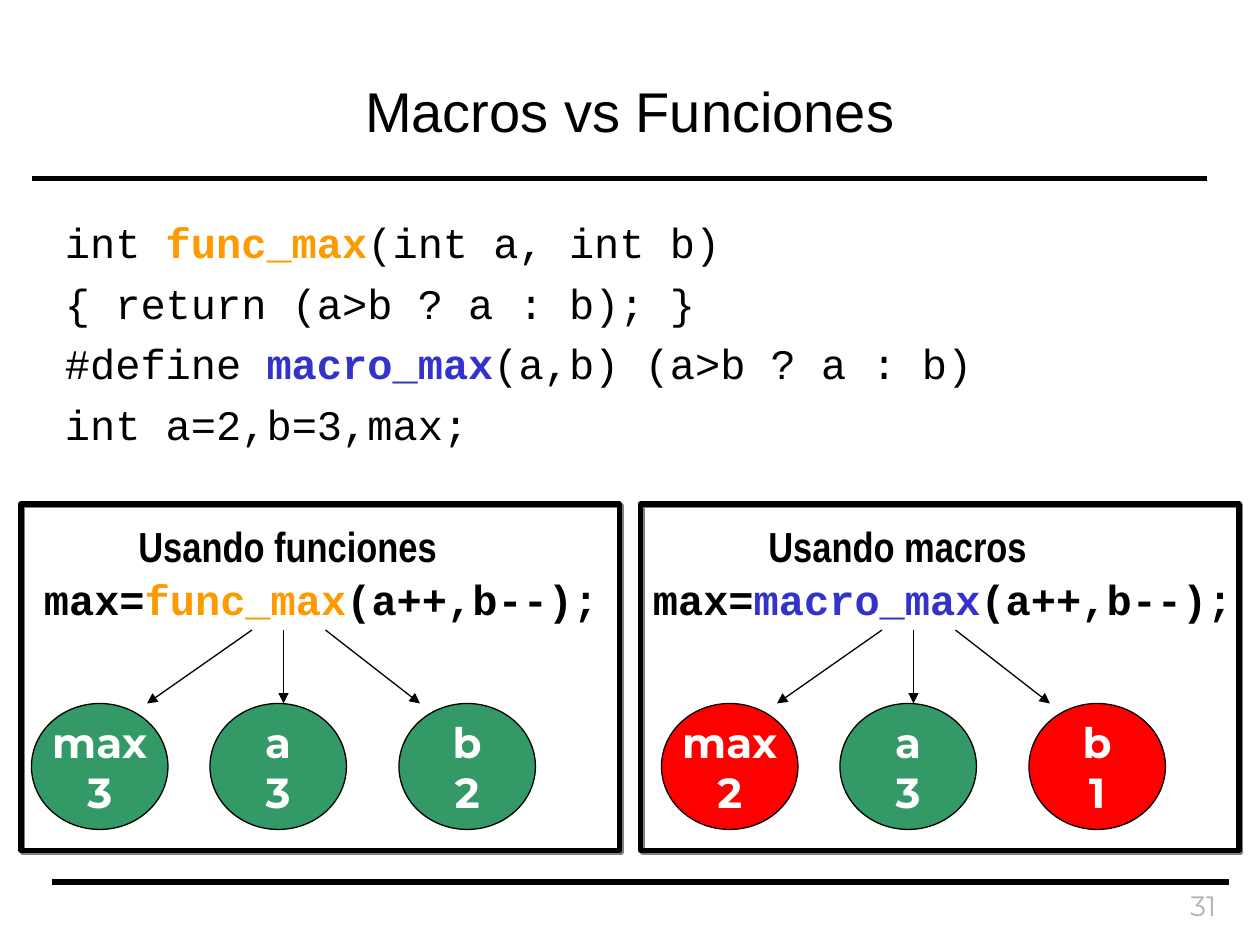
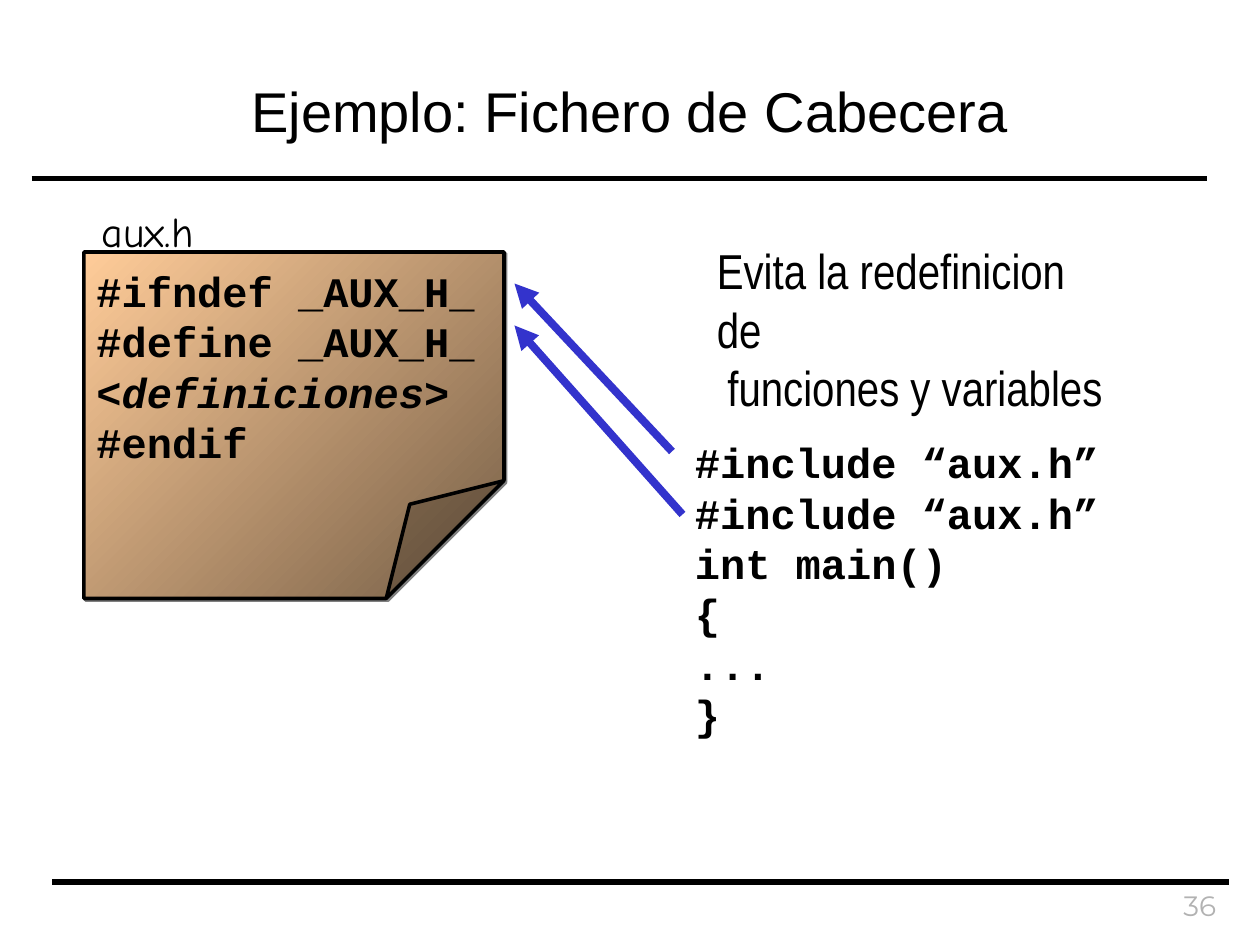
"""Build two slides on C macros, functions and header files."""
import pptx
import pptx.util
import pptx.dml.color
import pptx.enum.shapes
import pptx.enum.text
import pptx.oxml
import pptx.oxml.ns

PX = 7620
HUES = {"ink": "000000", "func": "FF9900", "macro": "3333CC", "good": "339966", "bad": "FF0000",
        "paper": "FFCC99", "fold": "755E46", "white": "FFFFFF", "page": "B2B2B2"}
RGB = {name: pptx.dml.color.RGBColor.from_string(code) for name, code in HUES.items()}
CODE, HEAD, ROUND = "Courier New", "Arial Narrow", "Montserrat"
SHAPE = pptx.enum.shapes.MSO_SHAPE
ALIGN = pptx.enum.text.PP_ALIGN
MIDDLE = pptx.enum.text.MSO_ANCHOR.MIDDLE
SPACE = pptx.oxml.ns.nsdecls("a")
SHADE = ('<a:outerShdw %s dist="17961" dir="2700000" algn="ctr" rotWithShape="0">'
         '<a:srgbClr val="808080"/></a:outerShdw>' % SPACE)


def write(shape, rows, face, size=24, bold=False, align=ALIGN.LEFT, wrap=True, gap=0, hue="ink"):
    """Fill a shape with rows, each a string or a list of (text, hue, bold) parts."""
    frame = shape.text_frame
    frame.word_wrap = wrap
    for i, row in enumerate(rows):
        para = frame.paragraphs[0] if i == 0 else frame.add_paragraph()
        para.alignment = align
        if i and gap:
            para.space_before = pptx.util.Pt(gap)
        parts = [(row, hue, bold)] if isinstance(row, str) else row
        for text, tone, heavy in parts:
            run = para.add_run()
            run.text = text
            run.font.name = face
            run.font.size = pptx.util.Pt(size)
            run.font.bold = heavy
            run.font.color.rgb = RGB[tone]
    return frame


def draw(slide, ends, width, hue="ink", arrow=True):
    """Draw a straight line, with an arrowhead at its end if wanted."""
    link = slide.shapes.add_connector(pptx.enum.shapes.MSO_CONNECTOR.STRAIGHT, *[n * PX for n in ends])
    link.line.width = pptx.util.Pt(width)
    link.line.color.rgb = RGB[hue]
    props = link._element.spPr
    if arrow:
        tip = pptx.oxml.parse_xml('<a:tailEnd %s type="triangle"/>' % SPACE)
        props.find(pptx.oxml.ns.qn("a:ln")).append(tip)
    props.append(pptx.oxml.parse_xml("<a:effectLst %s/>" % SPACE))


deck = pptx.Presentation()
deck.slide_width, deck.slide_height = 1200 * PX, 900 * PX

slides = []
for title, page in (("Macros vs Funciones", "31"), ("Ejemplo: Fichero de Cabecera", "36")):
    slide = deck.slides.add_slide(deck.slide_layouts[5])
    draw(slide, (50, 840, 1170, 840), 3, arrow=False)
    draw(slide, (30, 170, 1150, 170), 3, arrow=False)
    head = slide.shapes.title
    head.left, head.top, head.width, head.height = [n * PX for n in (90, 30, 1020, 150)]
    write(head, [title], "Arial", 32, align=ALIGN.CENTER).vertical_anchor = MIDDLE
    box = slide.shapes.add_textbox(1070 * PX, 840 * PX, 100 * PX, 60 * PX)
    write(box, [page], ROUND, 16, align=ALIGN.RIGHT, hue="page")
    slides.append(slide)

slide = slides[0]
body = slide.shapes.add_textbox(50 * PX, 200 * PX, 1120 * PX, 250 * PX)
write(body, [
    [("int ", "ink", False), ("func_max", "func", True), ("(int a, int b)", "ink", False)],
    "{ return (a>b ? a : b); }",
    [("#define ", "ink", False), ("macro_max", "macro", True), ("(a,b) (a>b ? a : b)", "ink", False)],
    "int a=2,b=3,max;"], CODE, gap=6)

panels = (
    ("Usando funciones", 308, "func", 30, 552, (("3", "good"), ("3", "good"), ("2", "good"))),
    ("Usando macros", 270, "macro", 610, 576, (("2", "bad"), ("3", "good"), ("1", "bad"))))
for i, (label, wide, kind, left, span, values) in enumerate(panels):
    shift = 600 * i
    panel = slide.shapes.add_shape(SHAPE.RECTANGLE, (20 + 590 * i) * PX, 480 * PX, 570 * PX, 330 * PX)
    panel.fill.background()
    panel.line.color.rgb = RGB["ink"]
    panel.line.width = pptx.util.Pt(3)
    panel.shadow.inherit = False
    panel._element.spPr.find(pptx.oxml.ns.qn("a:effectLst")).append(pptx.oxml.parse_xml(SHADE))
    box = slide.shapes.add_textbox((120 + shift) * PX, 490 * PX, wide * PX, 60 * PX)
    write(box, [label], HEAD, bold=True, wrap=False)
    box = slide.shapes.add_textbox(left * PX, 540 * PX, span * PX, 60 * PX)
    write(box, [[("max=", "ink", True), (kind + "_max", kind, True), ("(a++,b--);", "ink", True)]],
          CODE, wrap=False)
    for name, x, (value, hue) in zip(("max", "a", "b"), (30, 200, 380), values):
        ball = slide.shapes.add_shape(SHAPE.OVAL, (x + shift) * PX, 670 * PX, 130 * PX, 120 * PX)
        ball.fill.solid()
        ball.fill.fore_color.rgb = RGB[hue]
        ball.line.color.rgb = RGB["ink"]
        ball.line.width = pptx.util.Pt(0.75)
        ball.shadow.inherit = False
        frame = write(ball, [name, value], ROUND, bold=True, align=ALIGN.CENTER, wrap=False, hue="white")
        frame.vertical_anchor = MIDDLE
    for start, end in ((240, 140), (270, 270), (310, 400)):
        draw(slide, (start + shift, 600, end + shift, 670), 0.75)

slide = slides[1]
note = slide.shapes.add_shape(SHAPE.FOLDED_CORNER, 80 * PX, 240 * PX, 400 * PX, 330 * PX)
guide = pptx.oxml.parse_xml('<a:avLst %s><a:gd name="adj" fmla="val 34000"/></a:avLst>' % SPACE)
shell = note._element.spPr.find(pptx.oxml.ns.qn("a:prstGeom"))
for old in list(shell):
    shell.remove(old)
shell.append(guide)
note.fill.gradient()
note.fill.gradient_angle = 135
for stop, hue in zip(note.fill.gradient_stops, ("fold", "paper")):
    stop.color.rgb = RGB[hue]
note.line.color.rgb = RGB["ink"]
note.line.width = pptx.util.Pt(2)
note.shadow.inherit = False
note._element.spPr.find(pptx.oxml.ns.qn("a:effectLst")).append(pptx.oxml.parse_xml(SHADE))
frame = write(note, ["#ifndef _AUX_H_", "#define _AUX_H_", "<definiciones>", "#endif"], CODE, bold=True)
frame.vertical_anchor = MIDDLE
frame.paragraphs[2].runs[0].font.italic = True

box = slide.shapes.add_textbox(85 * PX, 190 * PX, 112 * PX, 60 * PX)
write(box, ["aux.h"], "Comic Neue", wrap=False)
box = slide.shapes.add_textbox(650 * PX, 410 * PX, 500 * PX, 300 * PX)
write(box, ["#include “aux.h”"] * 2 + ["int main()", "{", "...", "}"], CODE, bold=True)
for ends in ((640, 430, 490, 270), (650, 490, 490, 310)):
    draw(slide, ends, 4.5, "macro")
box = slide.shapes.add_textbox(671 * PX, 223 * PX, 408 * PX, 125 * PX)
frame = write(box, ["Evita la redefinicion de", "funciones y variables"], HEAD, 28, wrap=False)
frame.paragraphs[1]._p.get_or_add_pPr().set("marL", str(10 * PX))

deck.save("out.pptx")
